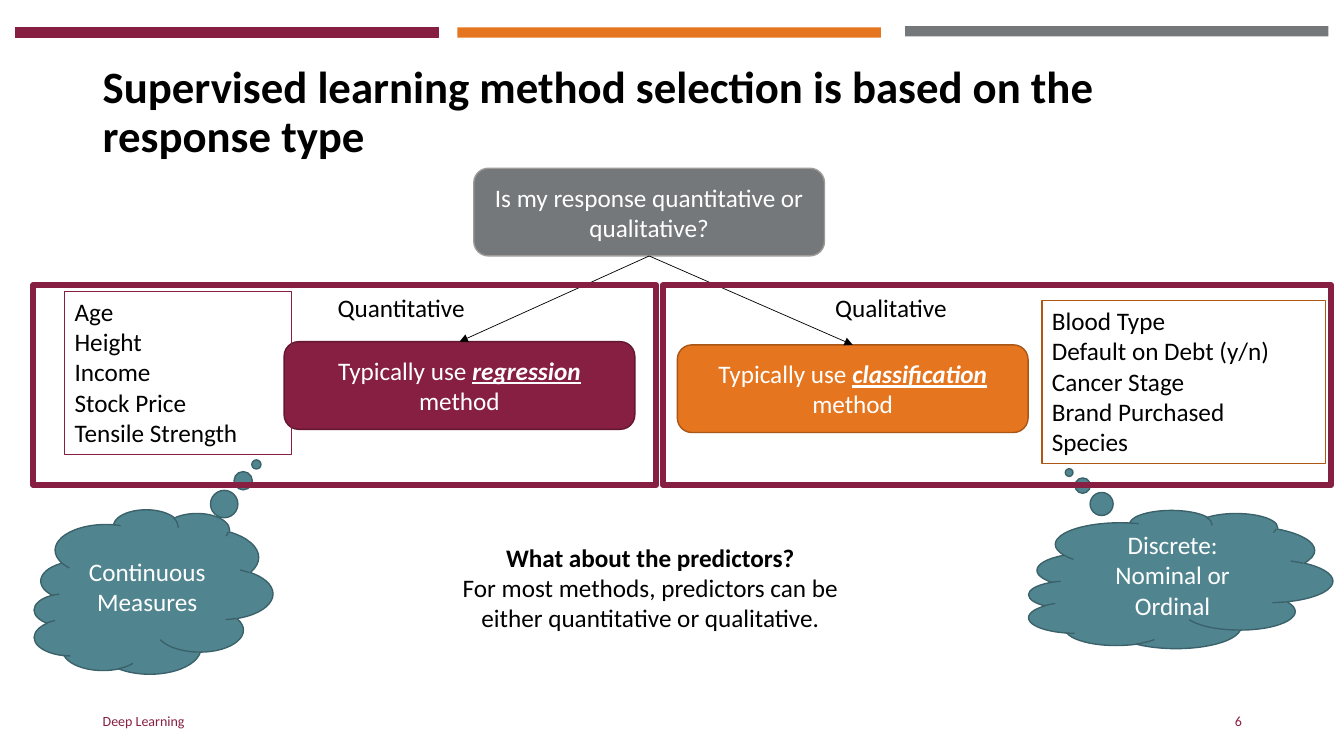
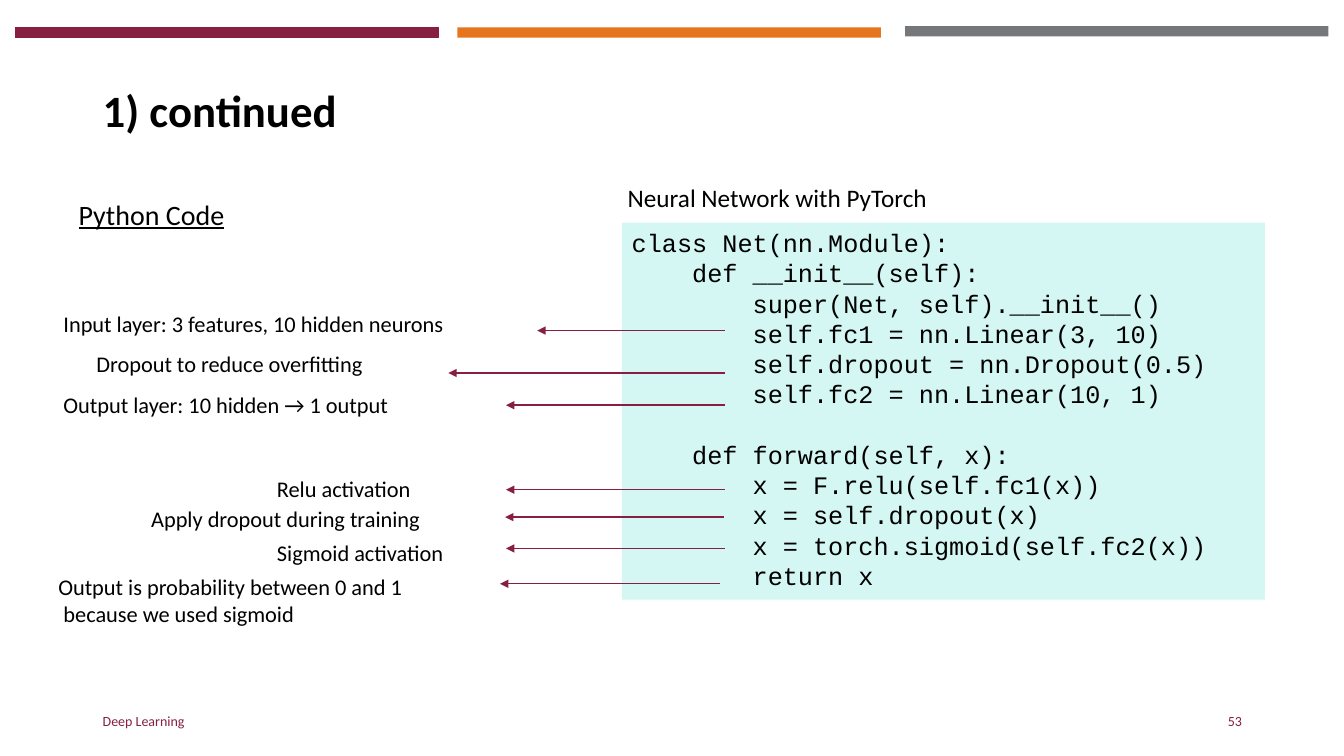
import pptx
import pptx.dml.color
import pptx.enum.shapes
import pptx.enum.text
import pptx.oxml
import pptx.oxml.ns
import pptx.util

Cm = pptx.util.Cm
Pt = pptx.util.Pt
SHAPE = pptx.enum.shapes.MSO_SHAPE
ALIGN = pptx.enum.text.PP_ALIGN
ANCHOR = pptx.enum.text.MSO_ANCHOR

COLORS = {
    "maroon": "861F41", "dark maroon": "631730",
    "orange": "E5751F", "dark orange": "A95717", "brown": "AF5714",
    "gray": "75787B", "light gray": "9F9B96",
    "teal": "508590", "dark teal": "3B626B",
    "mint": "D5F7F3", "black": "000000", "white": "FFFFFF",
}
RGB = {name: pptx.dml.color.RGBColor.from_string(value) for name, value in COLORS.items()}


def add_box(slide, bounds, lines=(), kind=None, fill=None, line=None, line_width=1,
            anchor=ANCHOR.TOP, color="black", para_format=None, **font):
    """Add a text box, or a shape of the given kind; a line is a string or a list of (text, font) spans."""
    bounds = [Cm(value) for value in bounds]
    if kind is None:
        box = slide.shapes.add_textbox(*bounds)
    else:
        box = slide.shapes.add_shape(kind, *bounds)
        box.shadow.inherit = False
        if fill:
            box.fill.solid()
            box.fill.fore_color.rgb = RGB[fill]
        else:
            box.fill.background()
        if line:
            box.line.color.rgb = RGB[line]
            box.line.width = Pt(line_width)
        else:
            box.line.fill.background()
    frame = box.text_frame
    frame.word_wrap = True
    frame.vertical_anchor = anchor
    base_font = {"name": "Calibri", "size": Pt(18)} | font
    for index, content in enumerate(lines):
        para = frame.add_paragraph() if index else frame.paragraphs[0]
        for key, value in ({"alignment": ALIGN.LEFT} | (para_format or {})).items():
            setattr(para, key, value)
        spans = [(content, {})] if isinstance(content, str) else content
        for text, span_font in spans:
            if not text:
                continue
            span = para.add_run()
            span.text = text
            span.font.color.rgb = RGB[color]
            for key, value in (base_font | span_font).items():
                setattr(span.font, key, value)
    return box


def add_arrow(slide, start, end, color, width):
    arrow = slide.shapes.add_connector(
        pptx.enum.shapes.MSO_CONNECTOR.STRAIGHT, *[Cm(value) for value in (*start, *end)])
    arrow.line.color.rgb = RGB[color]
    arrow.line.width = Pt(width)
    head = pptx.oxml.parse_xml(f'<a:tailEnd {pptx.oxml.ns.nsdecls("a")} type="triangle"/>')
    arrow.line._get_or_add_ln().append(head)
    effects = pptx.oxml.parse_xml(f'<a:effectLst {pptx.oxml.ns.nsdecls("a")}/>')
    arrow._element.spPr.append(effects)
    return arrow


deck = pptx.Presentation()
deck.slide_width = Cm(33.87)
deck.slide_height = Cm(19.05)

# Shared bands, title and footer
slides = []
for title, number in (
    ("Supervised learning method selection is based on the response type", "6"),
    ("1) continued", "53"),
):
    slide = deck.slides.add_slide(deck.slide_layouts[6])
    slides.append(slide)
    for left, top, fill, line in ((0.38, 0.69, "maroon", "maroon"),
                                  (22.81, 0.66, "gray", None),
                                  (11.53, 0.69, "orange", None)):
        add_box(slide, (left, top, 10.67, 0.26), kind=SHAPE.RECTANGLE,
                fill=fill, line=line, line_width=0.75)
    add_box(slide, (2.34, 1.02, 29.21, 3.68), [title], anchor=ANCHOR.MIDDLE,
            para_format={"line_spacing": 0.9}, size=Pt(32), bold=True)
    for left, width, text, alignment in ((2.34, 11.43, "Deep Learning", ALIGN.LEFT),
                                         (23.93, 7.62, number, ALIGN.RIGHT)):
        add_box(slide, (left, 17.65, width, 1.02), [text], anchor=ANCHOR.MIDDLE,
                color="maroon", para_format={"alignment": alignment}, size=Pt(10))

selection_slide, code_slide = slides
centered = {"alignment": ALIGN.CENTER}
emphasis = {"bold": True, "italic": True, "underline": True}

# Method selection: decision tree
nodes = []
for left, top, fill, line, content in (
    (11.94, 4.24, "gray", "light gray", "Is my response quantitative or qualitative?"),
    (7.16, 8.61, "maroon", "dark maroon",
     [("Typically use ", {}), ("regression", emphasis), (" method", {})]),
    (17.07, 8.69, "orange", "dark orange",
     [("Typically use ", {}), ("classification", emphasis), (" method", {})]),
):
    nodes.append(add_box(
        selection_slide, (left, top, 8.84, 2.21), [content], kind=SHAPE.ROUNDED_RECTANGLE,
        fill=fill, line=line, anchor=ANCHOR.MIDDLE, color="white", para_format=centered))

question, *methods = nodes
for method in methods:
    branch = add_arrow(selection_slide, (0, 0), (0, 0), "black", 0.5)
    branch.begin_connect(question, 2)
    branch.end_connect(method, 0)

for left, text in ((8.26, "Quantitative"), (20.8, "Qualitative")):
    add_box(selection_slide, (left, 7.24, 5.21, 1.02), [text])

for left, top, width, line, examples in (
    (1.63, 7.34, 5.72, "maroon",
     ["Age", "Height", "Income", "Stock Price", "Tensile Strength"]),
    (26.26, 7.57, 7.14, "brown",
     ["Blood Type", "Default on Debt (y/n)", "Cancer Stage", "Brand Purchased", "Species"]),
):
    add_box(selection_slide, (left, top, width, 4.11), examples,
            kind=SHAPE.RECTANGLE, line=line, line_width=0.75)

add_box(selection_slide, (7.92, 13.54, 16.94, 2.57),
        [[("What about the predictors?", {"bold": True})],
         "For most methods, predictors can be",
         "either quantitative or qualitative."], para_format=centered)

# The clouds are turned and mirrored; vertical text keeps their words upright
for bounds, tail, text in (
    ((1.78, 11.91, 4.14, 6.02), (-0.777, 0.434), "Continuous Measures"),
    ((27.99, 10.77, 3.48, 7.67), (-0.775, -0.363), "Discrete: Nominal or Ordinal"),
):
    cloud = add_box(selection_slide, bounds, [text], kind=SHAPE.CLOUD_CALLOUT,
                    fill="teal", line="dark teal", anchor=ANCHOR.MIDDLE,
                    color="white", para_format=centered)
    cloud.adjustments[0], cloud.adjustments[1] = tail
    cloud.rotation = 270
    cloud._element.spPr.xfrm.set("flipH", "1")
    cloud.text_frame._txBody.bodyPr.set("vert", "vert")

for left, width in ((16.71, 16.84), (0.84, 15.7)):
    add_box(selection_slide, (left, 7.19, width, 5.03), kind=SHAPE.RECTANGLE,
            line="maroon", line_width=4.5)

# Code with explanations
code = """class Net(nn.Module):
    def __init__(self):
        super(Net, self).__init__()
        self.fc1 = nn.Linear(3, 10)
        self.dropout = nn.Dropout(0.5)
        self.fc2 = nn.Linear(10, 1)

    def forward(self, x):
        x = F.relu(self.fc1(x))
        x = self.dropout(x)
        x = torch.sigmoid(self.fc2(x))
        return x"""
add_box(code_slide, (15.67, 5.61, 16.21, 9.5), code.splitlines(), kind=SHAPE.RECTANGLE,
        fill="mint", para_format={"line_spacing": Pt(21.6)}, name="Courier New")
add_box(code_slide, (15.57, 4.47, 9.5, 1.8), ["Neural Network with PyTorch"])
add_box(code_slide, (1.73, 4.47, 5.64, 1.42), ["Python Code"], anchor=ANCHOR.MIDDLE,
        para_format={"line_spacing": 1.5, "space_after": Pt(12)}, size=Pt(20), underline=True)

for left, top, width, lines, arrow_start, arrow_end, arrow_top in (
    (1.35, 7.7, 11.99, ["Input layer: 3 features, 10 hidden neurons"], 18.26, 13.54, 8.33),
    (2.18, 8.71, 9.25, ["Dropout to reduce overfitting"], 18.26, 11.3, 9.4),
    (1.35, 9.73, 10.82, ["Output layer: 10 hidden → 1 output"], 18.26, 12.75, 10.21),
    (6.73, 11.84, 4.67, ["Relu activation"], 18.26, 12.75, 12.34),
    (3.56, 12.6, 8.79, ["Apply dropout during training"], 18.24, 12.73, 13.03),
    (6.73, 13.46, 5.77, ["Sigmoid activation"], 18.26, 12.75, 13.82),
    (1.22, 14.33, 10.9, ["Output is probability between 0 and 1", "because we used sigmoid"],
     18.14, 12.6, 14.71),
):
    note = add_box(code_slide, (left, top, width, 0.25 + 0.69 * len(lines)), lines, size=Pt(16))
    for para in note.text_frame.paragraphs[1:]:
        para._p.get_or_add_pPr().set("marL", str(Cm(0.13)))
    add_arrow(code_slide, (arrow_start, arrow_top), (arrow_end, arrow_top), "maroon", 1)

deck.save("out.pptx")
